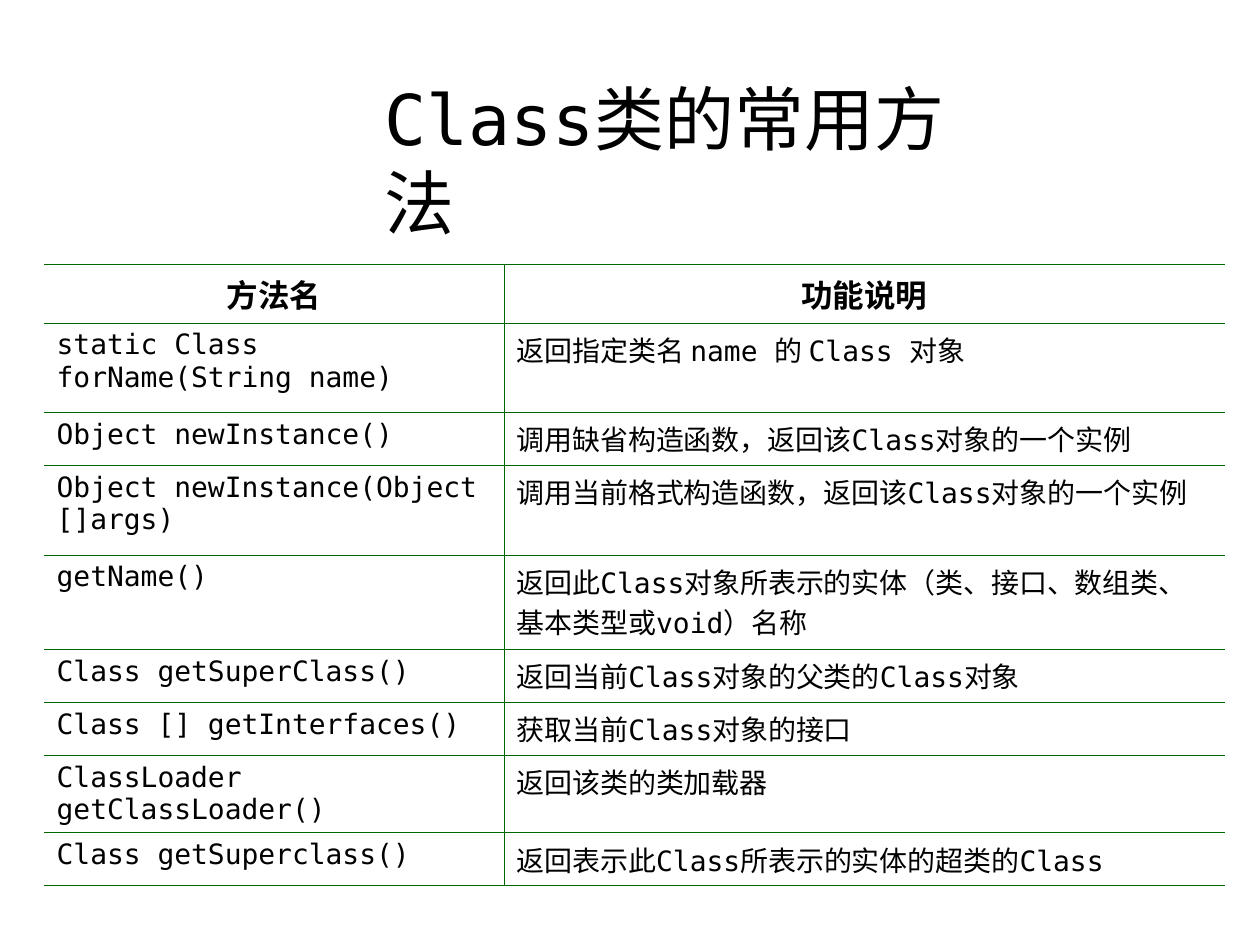
from lxml.etree import SubElement
from pptx import Presentation
from pptx.dml.color import RGBColor
from pptx.enum.text import MSO_ANCHOR, MSO_AUTO_SIZE, PP_ALIGN
from pptx.oxml.ns import qn
from pptx.util import Inches, Pt

TITLE = "Class类的常用方法"
HEADER = ("方法名", "功能说明")
METHODS = [
    ("static Class forName(String name)", "返回指定类名 name 的 Class 对象"),
    ("Object newInstance()", "调用缺省构造函数，返回该Class对象的一个实例"),
    ("Object newInstance(Object []args)", "调用当前格式构造函数，返回该Class对象的一个实例"),
    ("getName()", "返回此Class对象所表示的实体（类、接口、数组类、基本类型或void）名称"),
    ("Class getSuperClass()", "返回当前Class对象的父类的Class对象"),
    ("Class [] getInterfaces()", "获取当前Class对象的接口"),
    ("ClassLoader getClassLoader()", "返回该类的类加载器"),
    ("Class getSuperclass()", "返回表示此Class所表示的实体的超类的Class"),
]
COLUMN_WIDTHS = (3.65, 5.72)
ROW_HEIGHTS = (0.46, 0.71, 0.42, 0.71, 0.75, 0.42, 0.42, 0.42, 0.42)

FONT = "DejaVu Sans Mono"
BLACK = RGBColor(0x00, 0x00, 0x00)
GREEN = RGBColor(0x00, 0x66, 0x00)
THICK, THIN = Pt(1.08), Pt(0.11)


def add_text(para, text, size, bold=False):
    span = para.add_run()
    span.text = text
    span.font.name = FONT
    span.font.size = Pt(size)
    span.font.bold = bold
    span.font.color.rgb = BLACK


def set_borders(cell, left, right, top, bottom):
    """Draw each side at the given width; None leaves the side open."""
    properties = cell._tc.get_or_add_tcPr()
    for side, width in zip("LRTB", (left, right, top, bottom)):
        line = SubElement(properties, qn(f"a:ln{side}"), w=str(width or 0))
        if width is None:
            SubElement(line, qn("a:noFill"))
        else:
            fill = SubElement(line, qn("a:solidFill"))
            SubElement(fill, qn("a:srgbClr"), val=str(GREEN))


def add_title(page):
    title = page.shapes.title
    title.left, title.top = Inches(2.95), Inches(0.76)
    title.width, title.height = Inches(4.96), Inches(1.02)
    frame = title.text_frame
    frame.auto_size = MSO_AUTO_SIZE.NONE
    frame.word_wrap = True
    frame.vertical_anchor = MSO_ANCHOR.MIDDLE
    para = frame.paragraphs[0]
    para.alignment = PP_ALIGN.LEFT
    add_text(para, TITLE, 40)


def add_method_table(page):
    rows = [HEADER] + METHODS
    last_row, last_column = len(rows) - 1, len(HEADER) - 1
    table = page.shapes.add_table(
        len(rows), len(HEADER), Inches(0.35), Inches(2.1),
        Inches(sum(COLUMN_WIDTHS)), Inches(sum(ROW_HEIGHTS))).table
    table.first_row = table.horz_banding = False
    for column, width in zip(table.columns, COLUMN_WIDTHS):
        column.width = Inches(width)
    for row, height in zip(table.rows, ROW_HEIGHTS):
        row.height = Inches(height)

    for r, texts in enumerate(rows):
        is_header = r == 0
        for c, text in enumerate(texts):
            cell = table.cell(r, c)
            set_borders(cell,
                        left=THIN if c > 0 else None,
                        right=THIN if c < last_column else None,
                        top=THICK if is_header else THIN,
                        bottom=THICK if r == last_row else THIN)
            cell.fill.background()
            para = cell.text_frame.paragraphs[0]
            para.alignment = PP_ALIGN.CENTER if is_header else PP_ALIGN.LEFT
            para.space_before = Pt(4.5 if is_header else 4)
            add_text(para, text, 18 if is_header else 16, bold=is_header)


def main():
    deck = Presentation()
    deck.slide_width, deck.slide_height = Inches(10), Inches(7.5)
    page = deck.slides.add_slide(deck.slide_layouts[5])
    add_title(page)
    add_method_table(page)
    deck.save("out.pptx")


if __name__ == "__main__":
    main()
